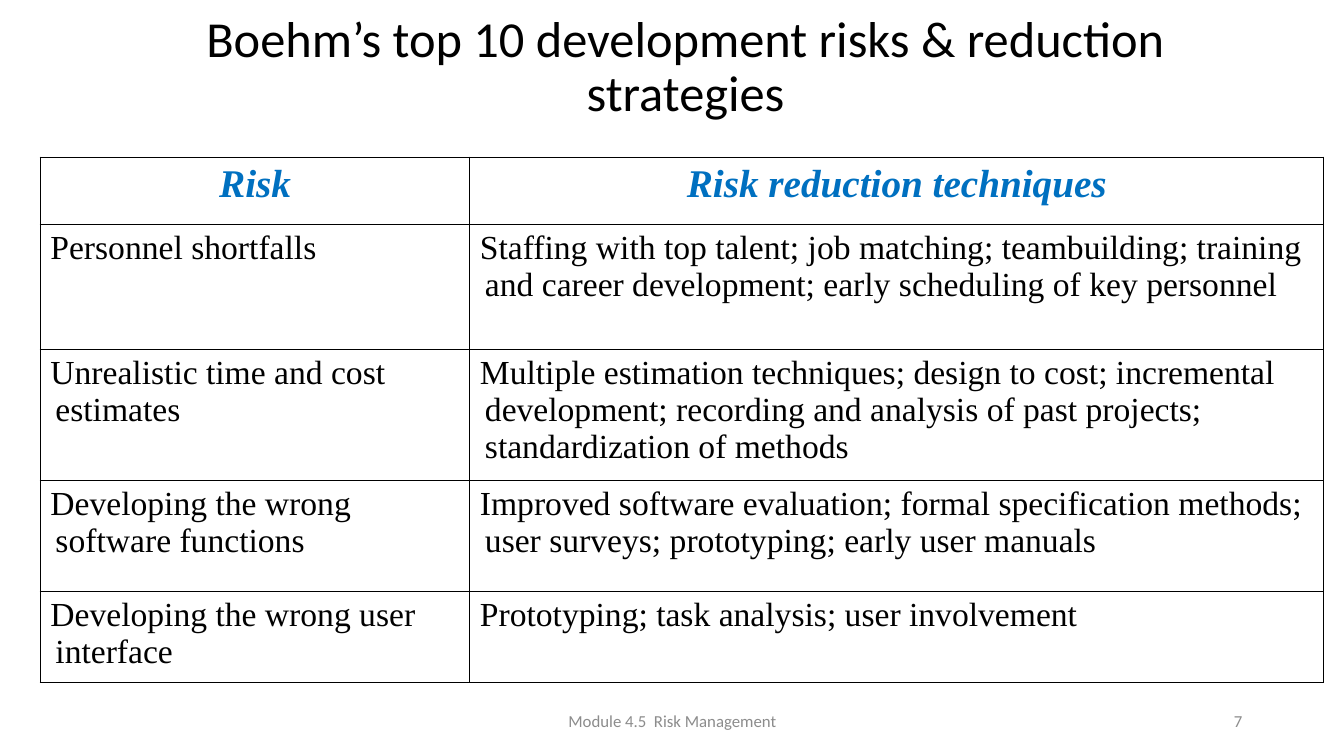
from dataclasses import dataclass

from lxml import etree
from pptx import Presentation
from pptx.dml.color import RGBColor
from pptx.enum.text import MSO_ANCHOR, PP_ALIGN
from pptx.oxml.ns import qn
from pptx.util import Pt

LEFT, CENTER, RIGHT = PP_ALIGN.LEFT, PP_ALIGN.CENTER, PP_ALIGN.RIGHT
TOP, MIDDLE = MSO_ANCHOR.TOP, MSO_ANCHOR.MIDDLE
SCALE = 9144


def px(n):
    return n * SCALE


@dataclass(frozen=True)
class Theme:
    sans: str = "Calibri"
    serif: str = "Times New Roman"
    ink: str = "000000"
    blue: str = "0070C0"
    gray: str = "8C8C8C"
    paper: str = "FFFFFF"
    title: int = 36
    head: int = 28
    body: int = 24
    foot: int = 12


class Page:
    def __init__(self, slide, theme):
        self.slide = slide
        self.theme = theme

    def add_text(self, para, text, size, color, face, align, bold=False):
        para.alignment = align
        run = para.add_run()
        run.text = text
        font = run.font
        font.name, font.size = face, Pt(size)
        font.bold = font.italic = bold
        font.color.rgb = RGBColor.from_string(color)

    def label(self, box, text, size, color, align, lead=1.0):
        frame = self.slide.shapes.add_textbox(*map(px, box)).text_frame
        frame.word_wrap = True
        frame.vertical_anchor = MIDDLE
        para = frame.paragraphs[0]
        para.line_spacing = lead
        self.add_text(para, text, size, color, self.theme.sans, align)

    def border(self, cell):
        props = cell._tc.get_or_add_tcPr()
        for side in ("a:lnL", "a:lnR", "a:lnT", "a:lnB"):
            line = etree.SubElement(props, qn(side), w=str(Pt(1)))
            fill = etree.SubElement(line, qn("a:solidFill"))
            etree.SubElement(fill, qn("a:srgbClr"), val=self.theme.ink)

    def cell(self, cell, text, head, hang):
        look = self.theme
        self.border(cell)
        cell.fill.solid()
        cell.fill.fore_color.rgb = RGBColor.from_string(look.paper)
        cell.vertical_anchor = TOP
        cell.margin_left = cell.margin_right = px(10)
        cell.margin_top = cell.margin_bottom = px(5)
        para = cell.text_frame.paragraphs[0]
        props = para._p.get_or_add_pPr()
        props.set("marL", str(px(hang)))
        props.set("indent", str(-px(hang)))
        size, color, align = (
            (look.head, look.blue, CENTER) if head else (look.body, look.ink, LEFT)
        )
        self.add_text(para, text, size, color, look.serif, align, head)

    def table(self, left, top, wide, high, rows):
        box = (left, top, sum(wide), sum(high))
        table = self.slide.shapes.add_table(
            len(high), len(wide), *map(px, box)
        ).table
        table.first_row = table.horz_banding = False
        for col, width in zip(table.columns, wide):
            col.width = px(width)
        for row, height in zip(table.rows, high):
            row.height = px(height)
        for r, row in enumerate(rows):
            for c, text in enumerate(row):
                hang = 38 if r == 0 or (r, c) == (1, 0) else 5
                self.cell(table.cell(r, c), text, r == 0, hang)


RISKS = [
    ("Risk", "Risk reduction techniques"),
    (
        "Personnel shortfalls",
        "Staffing with top talent; job matching; teambuilding; training and "
        "career development; early scheduling of key personnel",
    ),
    (
        "Unrealistic time and cost estimates",
        "Multiple estimation techniques; design to cost; incremental development; "
        "recording and analysis of past projects; standardization of methods",
    ),
    (
        "Developing the wrong software functions",
        "Improved software evaluation; formal specification methods; "
        "user surveys; prototyping; early user manuals",
    ),
    (
        "Developing the wrong user interface",
        "Prototyping; task analysis; user involvement",
    ),
]


def main():
    deck = Presentation()
    deck.slide_width, deck.slide_height = px(1333), px(750)
    look = Theme()
    page = Page(deck.slides.add_slide(deck.slide_layouts[6]), look)
    page.label(
        (92, 21, 1176, 93),
        "Boehm’s top 10 development risks & reduction strategies",
        look.title, look.ink, CENTER, 0.9,
    )
    page.label(
        (442, 695, 450, 40), "Module 4.5  Risk Management",
        look.foot, look.gray, CENTER,
    )
    page.label((942, 695, 300, 40), "7", look.foot, look.gray, RIGHT)
    page.table(40, 156, (426, 847), (67, 124, 124, 110, 77), RISKS)
    deck.save("out.pptx")


if __name__ == "__main__":
    main()
